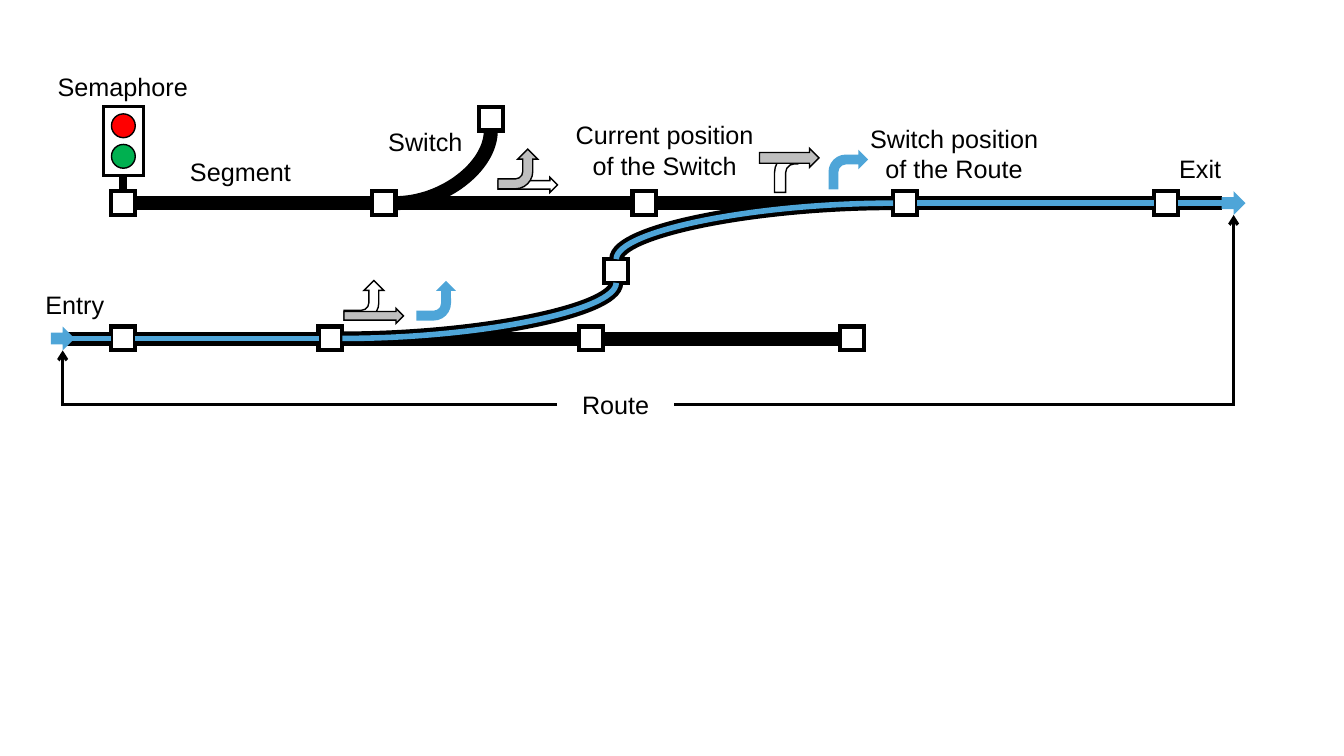
from pptx import Presentation
from pptx.util import Cm, Pt
from pptx.dml.color import RGBColor
from pptx.enum.shapes import MSO_SHAPE as Kind, MSO_CONNECTOR as Link
from pptx.enum.text import PP_ALIGN as Align, MSO_ANCHOR as Anchor
from pptx.oxml.ns import qn
from lxml.etree import SubElement as Sub

BLACK, WHITE, BLUE, GREY = "000000", "FFFFFF", "4EA5D8", "BFBFBF"
TOP, LEFT, LOW, RIGHT = range(4)
SIDE = 0.6
PITCH = 6.57


def rgb(code):
    return RGBColor.from_string(code)


def shape(slide, kind, x, y, w, h, fill, width=0, adjs=()):
    item = slide.shapes.add_shape(kind, Cm(x), Cm(y), Cm(w), Cm(h))
    item.shadow.inherit = False
    item.fill.solid()
    item.fill.fore_color.rgb = rgb(fill)
    if width:
        item.line.color.rgb = rgb(BLACK)
        item.line.width = Pt(width)
        Sub(item.line._get_or_add_ln(), qn("a:miter")).set("lim", "800000")
    else:
        item.line.fill.background()
    for i, adj in enumerate(adjs):
        item.adjustments[i] = adj
    return item


def node(slide, x, y):
    return shape(slide, Kind.RECTANGLE, x, y, SIDE, SIDE, WHITE, 3)


def label(slide, text, x, y, w):
    box = slide.shapes.add_textbox(Cm(x), Cm(y), Cm(w), Cm(0.66))
    frame = box.text_frame
    frame.word_wrap = True
    frame.margin_top = frame.margin_bottom = 0
    frame.vertical_anchor = Anchor.MIDDLE
    para = frame.paragraphs[0]
    para.text = text
    para.alignment = Align.CENTER
    for run in para.runs:
        run.font.size = Pt(18)
        run.font.name = "Arial"
        run.font.color.rgb = rgb(BLACK)
    return box


def line(slide, kind, ends, color, width):
    item = slide.shapes.add_connector(kind, *[Cm(n) for n in ends])
    item.line.color.rgb = rgb(color)
    item.line.width = Pt(width)
    Sub(item.line._get_or_add_ln(), qn("a:miter")).set("lim", "800000")
    Sub(item._element.spPr, qn("a:effectLst"))
    return item


def join(slide, a, i, b, j, color=BLACK, width=10, kind=Link.STRAIGHT):
    item = line(slide, kind, (0, 0, 1, 1), color, width)
    item.begin_connect(a, i)
    item.end_connect(b, j)
    return item


def turn(slide, a, i, b, j, color=BLACK, width=10, kind=Link.CURVE):
    item = join(slide, a, i, b, j, color, width, kind)
    props = item._element.spPr
    name = "curvedConnector2" if kind == Link.CURVE else "bentConnector2"
    props.find(qn("a:prstGeom")).set("prst", name)
    frame = props.find(qn("a:xfrm"))
    if frame.get("flipH") == "1":
        up = frame.get("flipV") == "1"
        del frame.attrib["flipH"]
        frame.set("rot", "10800000")
        frame.set("flipV", "0" if up else "1")
    return item


def rail(slide, spots, y):
    nodes = [node(slide, x, y) for x in spots]
    for a, b in zip(nodes, nodes[1:]):
        join(slide, a, RIGHT, b, LEFT)
    return nodes


def light(slide, x, y):
    shape(slide, Kind.RECTANGLE, x, y, 1, 1.73, WHITE, 2.25)
    for i, color in enumerate(("FF0000", "00B050")):
        shape(slide, Kind.OVAL, x + 0.2, y + 0.18 + 0.77 * i, SIDE, SIDE, color, 1)
    mid = x + 0.49
    line(slide, Link.STRAIGHT, (mid, y + 1.73, mid, y + 2.13), BLACK, 6)


def bend(slide, x, y, fill, width=0, up=True, adjs=()):
    item = shape(slide, Kind.BENT_ARROW, x, y, 1, 1, fill, width, adjs)
    if up:
        item.rotation = 270
        item._element.spPr.find(qn("a:xfrm")).set("flipV", "1")


def ahead(slide, x, y, h, fill):
    shape(slide, Kind.RIGHT_ARROW, x, y, 1.5, h, fill, 1, (0.57, 0.5))


def signs(slide, x, y):
    ahead(slide, x + 3.88, y + 0.73, 0.38, WHITE)
    bend(slide, x + 3.88, y + 0.02, GREY, 1)
    bend(slide, x, y + 3.33, WHITE, 1)
    ahead(slide, x, y + 4.03, 0.38, GREY)
    bend(slide, x + 1.82, y + 3.34, BLUE)
    bend(slide, x + 10.85, y + 0.11, WHITE, 1, False, (0.32, 0.14, 0.42, 0.5))
    ahead(slide, x + 10.47, y, 0.48, GREY)
    bend(slide, x + 12.21, y + 0.03, BLUE, 0, False)


def tracks(slide, x, y):
    upper = rail(slide, [x + PITCH * i for i in range(5)], y)
    lower = rail(slide, [x] + [x + 5.23 + PITCH * i for i in range(3)], y + 3.41)
    spur = node(slide, x + 9.27, y - 2.13)
    cross = node(slide, x + 12.43, y + 1.71)
    turn(slide, upper[1], RIGHT, spur, LOW)
    entry = shape(slide, Kind.RIGHT_ARROW, x - 1.52, y + 3.41, SIDE, SIDE, BLUE)
    leave = shape(slide, Kind.RIGHT_ARROW, x + 27.99, y, SIDE, SIDE, BLUE)
    level = y + 3.41 + SIDE / 2
    for style in ((BLACK, 10), (BLUE, 4)):
        line(slide, Link.STRAIGHT, (x - 1.1, level, x, level), *style)
        turn(slide, lower[1], RIGHT, cross, LOW, *style)
        turn(slide, upper[3], LEFT, cross, TOP, *style)
        join(slide, upper[4], RIGHT, leave, LEFT, *style)
    for a, b in (lower[:2], upper[3:]):
        join(slide, a, RIGHT, b, LEFT, BLUE, 4)
    tree = slide.shapes._spTree
    for tip in (entry, leave):
        tree.append(tip._element)
    return entry, leave


def route(slide, x, y, entry, leave):
    name = label(slide, "Route", x, y, 2.95)
    for side, tip in ((LEFT, entry), (RIGHT, leave)):
        item = turn(slide, name, side, tip, LOW, BLACK, 2.25, Link.ELBOW)
        Sub(item.line._get_or_add_ln(), qn("a:tailEnd")).set("type", "arrow")


def names(slide, x, y):
    for text, dx, dy, w in (
        ("Semaphore", 0, 0, 6.07),
        ("Segment", 4.16, 2.13, 3.68),
        ("Switch", 8.82, 1.39, 3.68),
        ("Entry", 0.35, 5.49, 2.95),
        ("Exit", 28.71, 2.06, 2.95),
        ("Switch position\vof the Route", 21.05, 1.69, 5.87),
        ("Current position\vof the Switch", 13.96, 1.6, 5.46),
    ):
        label(slide, text, x + dx, y + dy, w)


def main():
    deck = Presentation()
    deck.slide_width, deck.slide_height = Cm(33.87), Cm(19.05)
    slide = deck.slides.add_slide(deck.slide_layouts[6])
    entry, leave = tracks(slide, 2.8, 4.82)
    light(slide, 2.61, 2.69)
    route(slide, 14.04, 9.87, entry, leave)
    signs(slide, 8.67, 3.74)
    names(slide, 0.06, 1.85)
    deck.save("out.pptx")


if __name__ == "__main__":
    main()
